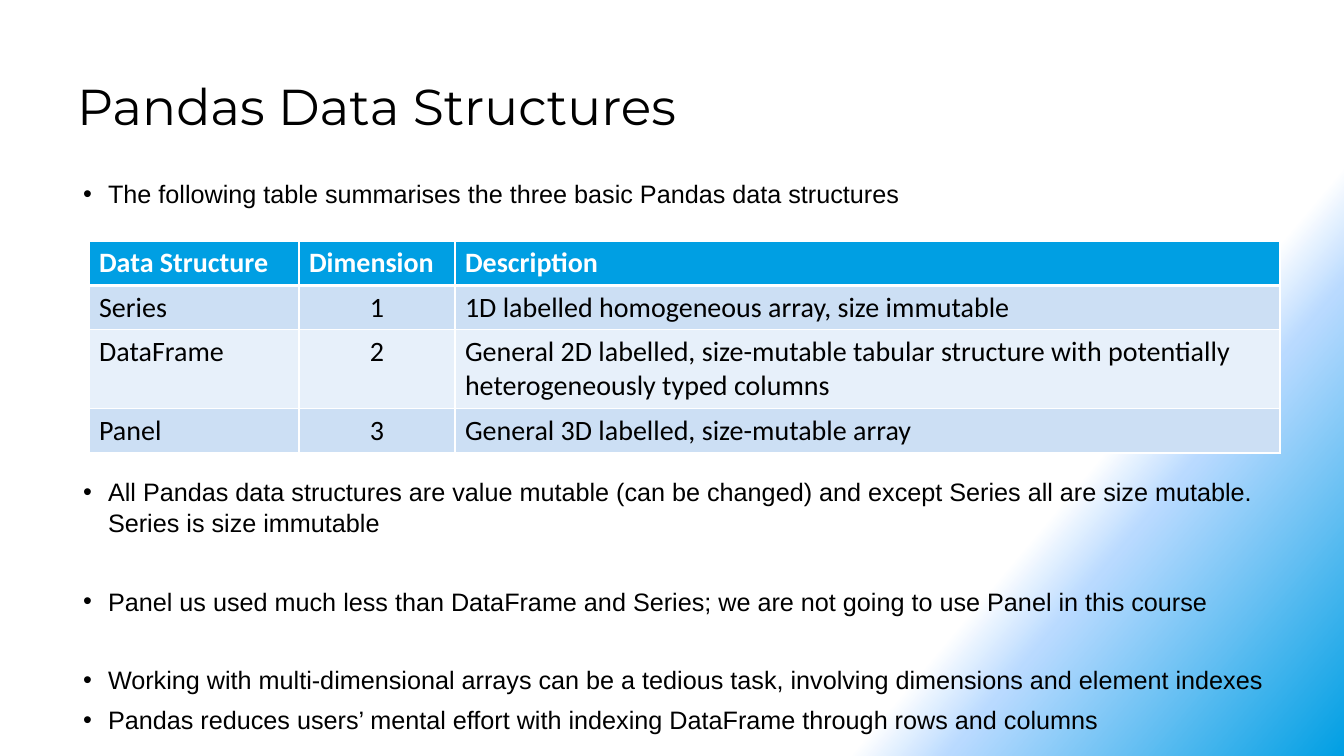
from dataclasses import dataclass

from lxml import etree
from pptx import Presentation
from pptx.dml.color import RGBColor
from pptx.enum.text import MSO_ANCHOR, MSO_AUTO_SIZE, PP_ALIGN
from pptx.oxml import parse_xml
from pptx.oxml.ns import nsdecls, qn
from pptx.util import Pt

PX = 12192000 / 1344
COLORS = {"black": "000000", "white": "FFFFFF", "sky": "009FE3",
          "pale": "B9DAFF", "band": "CCDFF4", "light": "E7F0FA"}
TITLE_FONT = {"name": "Montserrat", "size": Pt(36), "bold": False}
BODY_FONT = {"name": "Arial", "size": Pt(18), "bold": False}
CELL_FONT = {"name": "Calibri", "size": Pt(20), "bold": False}
HEAD_FONT = CELL_FONT | {"bold": True}
INDENT = 25
NORMAL_GAP, WIDE_GAP = 6, 33.5


@dataclass(frozen=True)
class Box:
    left: int
    top: int
    width: int
    height: int


@dataclass(frozen=True)
class Bullet:
    text: str
    gap: float = NORMAL_GAP


TITLE_BOX = Box(67, 68, 1212, 83)
INTRO_BOX = Box(73, 172, 1212, 58)
NOTES_BOX = Box(73, 470, 1212, 281)
TABLE_BOX = Box(89, 241, 1191, 209)
COLUMNS = (210, 156, 825)
ROW_HEIGHT = 41

INTRO = [Bullet("The following table summarises the three basic Pandas data structures")]
NOTES = [
    Bullet("All Pandas data structures are value mutable (can be changed) and except "
           "Series all are size mutable. Series is size immutable", WIDE_GAP),
    Bullet("Panel us used much less than DataFrame and Series; we are not going to use "
           "Panel in this course", WIDE_GAP),
    Bullet("Working with multi-dimensional arrays can be a tedious task, involving "
           "dimensions and element indexes"),
    Bullet("Pandas reduces users’ mental effort with indexing DataFrame through rows "
           "and columns"),
]
ROWS = [
    ("Data Structure", "Dimension", "Description"),
    ("Series", "1", "1D labelled homogeneous array, size immutable"),
    ("DataFrame", "2", "General 2D labelled, size-mutable tabular structure with "
                       "potentially heterogeneously typed columns"),
    ("Panel", "3", "General 3D labelled, size-mutable array"),
]


def emu(px: float) -> int:
    return round(px * PX)


def place(shape, box: Box) -> None:
    for side in ("left", "top", "width", "height"):
        setattr(shape, side, emu(getattr(box, side)))


def set_font(font, values: dict, color: str) -> None:
    for key, value in values.items():
        setattr(font, key, value)
    font.color.rgb = RGBColor.from_string(COLORS[color])


def set_background(s) -> None:
    """Fade from white to sky blue towards the lower right corner."""
    s.element.cSld.insert(0, parse_xml(
        f'<p:bg {nsdecls("p", "a")}><p:bgPr><a:gradFill rotWithShape="1"><a:gsLst>'
        f'<a:gs pos="75000"><a:srgbClr val="{COLORS["white"]}"/></a:gs>'
        f'<a:gs pos="80000"><a:srgbClr val="{COLORS["pale"]}">'
        '<a:alpha val="50000"/></a:srgbClr></a:gs>'
        f'<a:gs pos="100000"><a:srgbClr val="{COLORS["sky"]}"/></a:gs>'
        '</a:gsLst><a:lin ang="2400000" scaled="0"/></a:gradFill>'
        '<a:effectLst/></p:bgPr></p:bg>'))


def fill_title(sp, text: str) -> None:
    place(sp, TITLE_BOX)
    tf = sp.text_frame
    tf.auto_size = MSO_AUTO_SIZE.NONE
    tf.vertical_anchor = MSO_ANCHOR.MIDDLE
    tf.text = text
    p = tf.paragraphs[0]
    p.alignment = PP_ALIGN.LEFT
    p.line_spacing = 0.9
    set_font(p.runs[0].font, TITLE_FONT, "black")


def fill_bullets(sp, box: Box, bullets: list[Bullet]) -> None:
    place(sp, box)
    tf = sp.text_frame
    tf.auto_size = MSO_AUTO_SIZE.NONE
    tf.text = "\n".join(bullet.text for bullet in bullets)
    for p, bullet in zip(tf.paragraphs, bullets):
        pPr = p._p.get_or_add_pPr()
        pPr.set("marL", str(emu(INDENT)))
        pPr.set("indent", str(-emu(INDENT)))
        etree.SubElement(pPr, qn("a:buChar")).set("char", "•")
        p.space_before = Pt(0)
        p.space_after = Pt(bullet.gap)
        p.line_spacing = 1.04
        set_font(p.runs[0].font, BODY_FONT, "black")


def set_borders(cell, top: int, bottom: int) -> None:
    """Draw white cell borders; widths are in points."""
    widths = {"lnL": 1, "lnR": 1, "lnT": top, "lnB": bottom}
    tcPr = cell._tc.get_or_add_tcPr()
    for i, (tag, width) in enumerate(widths.items()):
        tcPr.insert(i, parse_xml(
            f'<a:{tag} {nsdecls("a")} w="{Pt(width)}"><a:solidFill>'
            f'<a:srgbClr val="{COLORS["white"]}"/></a:solidFill></a:{tag}>'))


def add_structures_table(s) -> None:
    frame = s.shapes.add_table(len(ROWS), len(COLUMNS), 0, 0, emu(TABLE_BOX.width), 0)
    table = frame.table
    for column, width in zip(table.columns, COLUMNS):
        column.width = emu(width)
    for r, texts in enumerate(ROWS):
        table.rows[r].height = emu(ROW_HEIGHT)
        fill = "sky" if r == 0 else ("light", "band")[r % 2]
        for c, text in enumerate(texts):
            cell = table.cell(r, c)
            cell.text = text
            cell.fill.solid()
            cell.fill.fore_color.rgb = RGBColor.from_string(COLORS[fill])
            set_borders(cell, top=3 if r == 1 else 1, bottom=3 if r == 0 else 1)
            p = cell.text_frame.paragraphs[0]
            p.alignment = PP_ALIGN.CENTER if r and c == 1 else PP_ALIGN.LEFT
            set_font(p.runs[0].font, CELL_FONT if r else HEAD_FONT,
                     "black" if r else "white")
    place(frame, TABLE_BOX)


def main() -> None:
    prs = Presentation()
    prs.slide_width, prs.slide_height = emu(1344), emu(756)
    s = prs.slides.add_slide(prs.slide_layouts.get_by_name("Two Content"))
    set_background(s)
    fill_title(s.shapes.title, "Pandas Data Structures")
    fill_bullets(s.placeholders[1], INTRO_BOX, INTRO)
    add_structures_table(s)
    fill_bullets(s.placeholders[2], NOTES_BOX, NOTES)
    prs.save("out.pptx")


if __name__ == "__main__":
    main()
